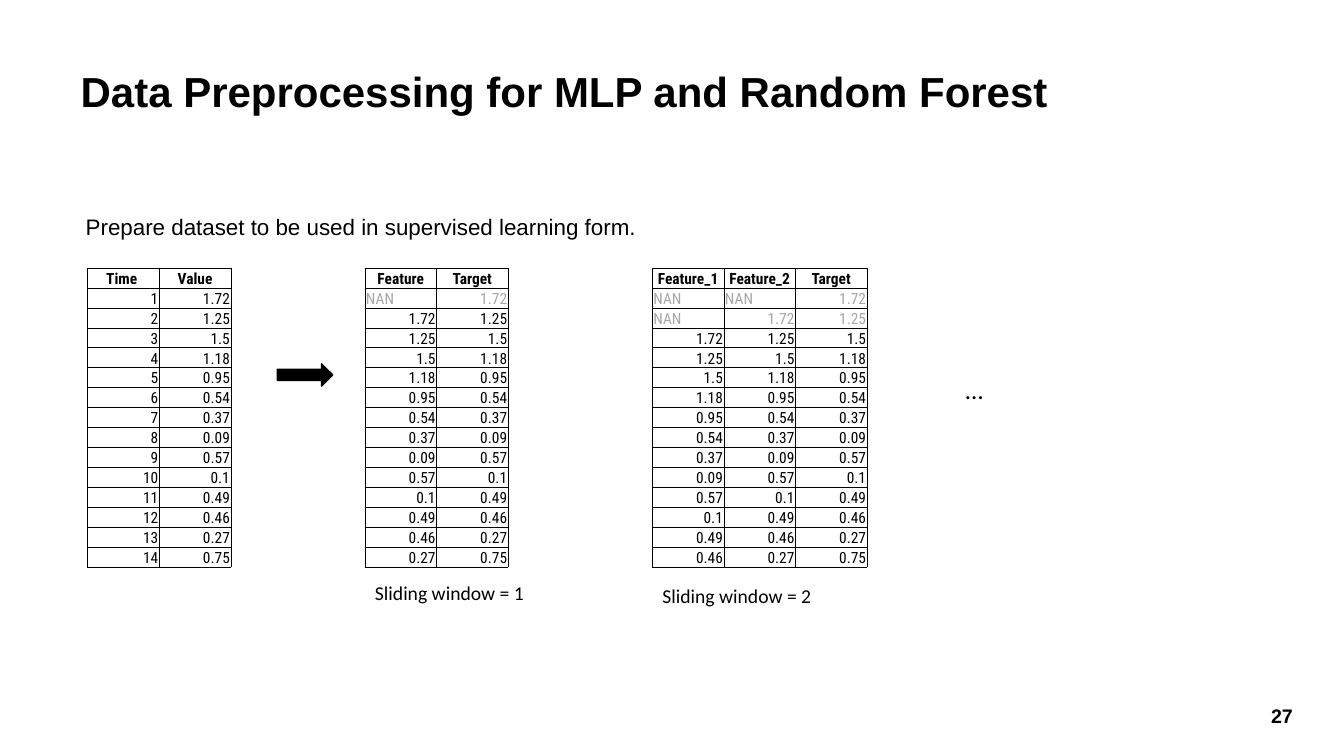
from dataclasses import dataclass

from lxml import etree
from pptx import Presentation
from pptx.dml import color
from pptx.enum import shapes, text
from pptx.oxml import ns
from pptx.util import Inches, Pt


@dataclass(frozen=True)
class Theme:
    black: color.RGBColor = color.RGBColor(0x00, 0x00, 0x00)
    grey: color.RGBColor = color.RGBColor(0xA6, 0xA6, 0xA6)
    heading_font: str = "Arial"
    caption_font: str = "Calibri"
    table_font: str = "Roboto Condensed"
    title_size: int = 30
    body_size: int = 16
    ellipsis_size: int = 18
    caption_size: int = 14
    table_size: int = 11


theme = Theme()


def write(paragraph, words, font, size, ink=theme.black, bold=False):
    run = paragraph.add_run()
    run.text = words
    run.font.name = font
    run.font.size = Pt(size)
    run.font.bold = bold
    run.font.color.rgb = ink


def add_border(cell):
    """Draw a half-point black line on all four sides of a cell."""
    properties = cell._tc.get_or_add_tcPr()
    for side in ("a:lnL", "a:lnR", "a:lnT", "a:lnB"):
        line = etree.SubElement(properties, ns.qn(side), w=str(Pt(0.5)))
        fill = etree.SubElement(line, ns.qn("a:solidFill"))
        etree.SubElement(fill, ns.qn("a:srgbClr"), val=str(theme.black))


presentation = Presentation()
presentation.slide_width = Inches(13.33)
presentation.slide_height = Inches(7.5)
slide = presentation.slides.add_slide(presentation.slide_layouts[1])

# Title and introduction
title, body = slide.placeholders
headings = [
    (title, (0.7, 0.66, 10.84, 0.56), 0.9, theme.title_size, True,
     "Data Preprocessing for MLP and Random Forest"),
    (body, (0.75, 2.04, 6.79, 0.51), 1.1, theme.body_size, False,
     "Prepare dataset to be used in supervised learning form."),
]
for placeholder, box, spacing, size, bold, words in headings:
    placeholder.left, placeholder.top, placeholder.width, placeholder.height = map(Inches, box)
    frame = placeholder.text_frame
    frame.word_wrap = True
    frame.auto_size = text.MSO_AUTO_SIZE.NONE
    frame.vertical_anchor = text.MSO_ANCHOR.TOP
    paragraph = frame.paragraphs[0]
    properties = paragraph._p.get_or_add_pPr()
    properties.set("marL", "0")
    properties.set("indent", "0")
    etree.SubElement(properties, ns.qn("a:buNone"))
    paragraph.alignment = text.PP_ALIGN.LEFT
    paragraph.line_spacing = spacing
    paragraph.space_before = Pt(0)
    write(paragraph, words, theme.heading_font, size, bold=bold)

# The time series, then its sliding windows
series = ["1.72", "1.25", "1.5", "1.18", "0.95", "0.54", "0.37",
          "0.09", "0.57", "0.1", "0.49", "0.46", "0.27", "0.75"]
tables = [
    (0.87, 0, ["Time ", "Value"]),
    (3.62, 1, ["Feature", "Target"]),
    (6.47, 2, ["Feature_1", "Feature_2", "Target"]),
]
column_width, row_height = Inches(0.71), Inches(2.97) // 15

for left, window, header in tables:
    padded = ["NAN"] * window + series
    rows = [header]
    for index in range(len(series)):
        values = padded[index:index + window + 1]
        rows.append(values if window else [str(index + 1)] + values)

    table = slide.shapes.add_table(
        len(rows), len(header), Inches(left), Inches(2.66),
        column_width * len(header), row_height * len(rows)).table
    table.first_row = table.horz_banding = False
    for column in table.columns:
        column.width = column_width
    for row_index, values in enumerate(rows):
        table.rows[row_index].height = row_height
        is_header = row_index == 0
        ink = theme.grey if "NAN" in values else theme.black
        for column_index, value in enumerate(values):
            cell = table.cell(row_index, column_index)
            add_border(cell)
            cell.fill.background()
            cell.margin_left = cell.margin_right = cell.margin_top = Inches(0.01)
            cell.margin_bottom = 0
            cell.vertical_anchor = text.MSO_ANCHOR.BOTTOM
            paragraph = cell.text_frame.paragraphs[0]
            if is_header:
                paragraph.alignment = text.PP_ALIGN.CENTER
            elif value == "NAN":
                paragraph.alignment = text.PP_ALIGN.LEFT
            else:
                paragraph.alignment = text.PP_ALIGN.RIGHT
            write(paragraph, value, theme.table_font, theme.table_size, ink, is_header)

arrow = slide.shapes.add_shape(
    shapes.MSO_SHAPE.RIGHT_ARROW, Inches(2.75), Inches(3.61), Inches(0.55), Inches(0.22))
arrow.shadow.inherit = False
arrow.fill.solid()
arrow.fill.fore_color.rgb = theme.black
arrow.line.color.rgb = theme.black
arrow.line.width = Pt(1)

# Captions and ellipsis
labels = [
    ("Sliding window = 1", (3.62, 5.71, 1.69, 0.34), theme.caption_size),
    ("Sliding window = 2", (6.47, 5.74, 1.69, 0.34), theme.caption_size),
    ("…", (9.48, 3.66, 0.38, 0.4), theme.ellipsis_size),
]
for words, box, size in labels:
    frame = slide.shapes.add_textbox(*map(Inches, box)).text_frame
    frame.word_wrap = False
    frame.auto_size = text.MSO_AUTO_SIZE.SHAPE_TO_FIT_TEXT
    write(frame.paragraphs[0], words, theme.caption_font, size)

page_number = slide.shapes.add_textbox(Inches(12.21), Inches(6.87), Inches(1.01), Inches(0.4))
frame = page_number.text_frame
frame.word_wrap = True
frame.vertical_anchor = text.MSO_ANCHOR.BOTTOM
frame.paragraphs[0].alignment = text.PP_ALIGN.CENTER
write(frame.paragraphs[0], "27", theme.heading_font, theme.caption_size, bold=True)

presentation.save("out.pptx")
